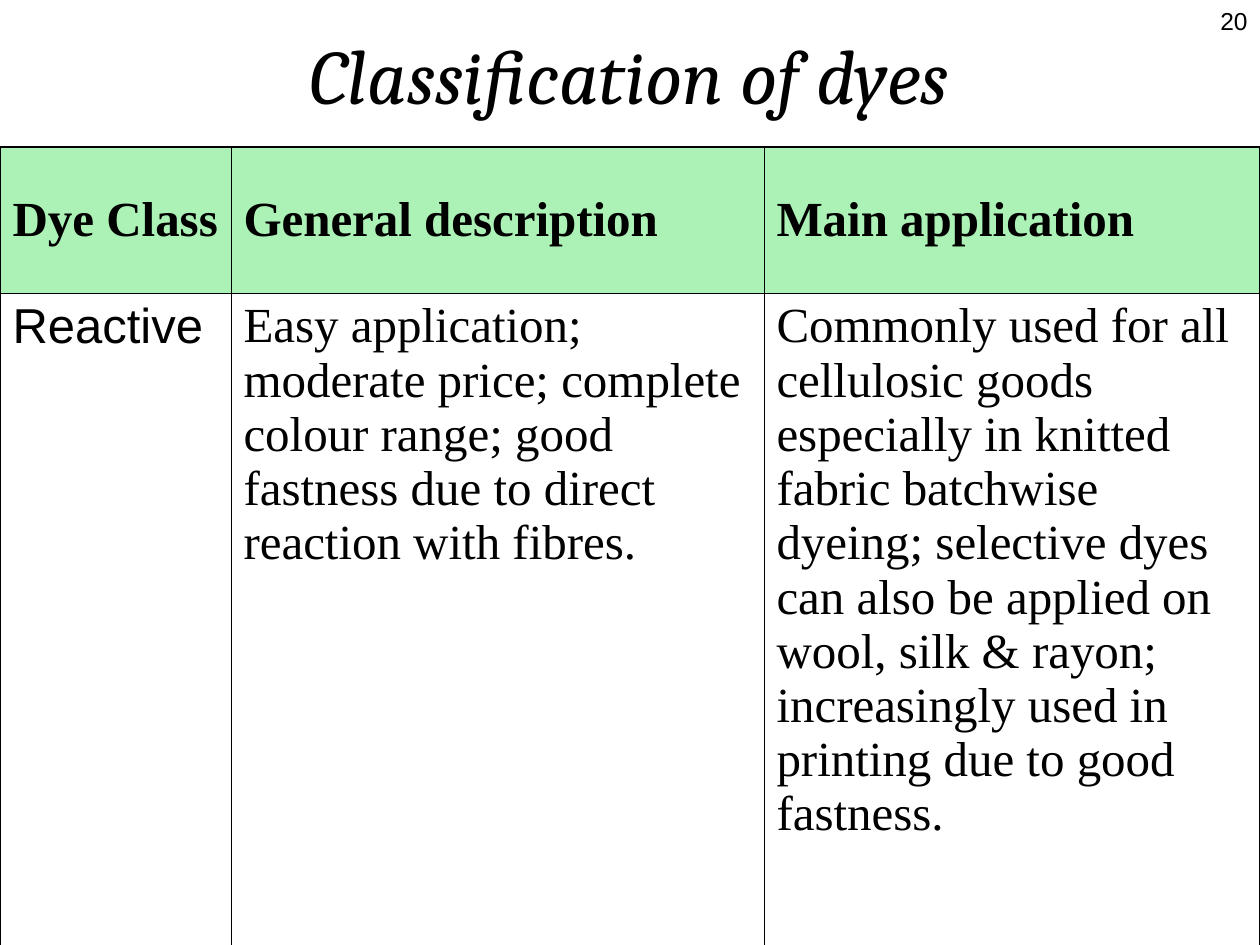
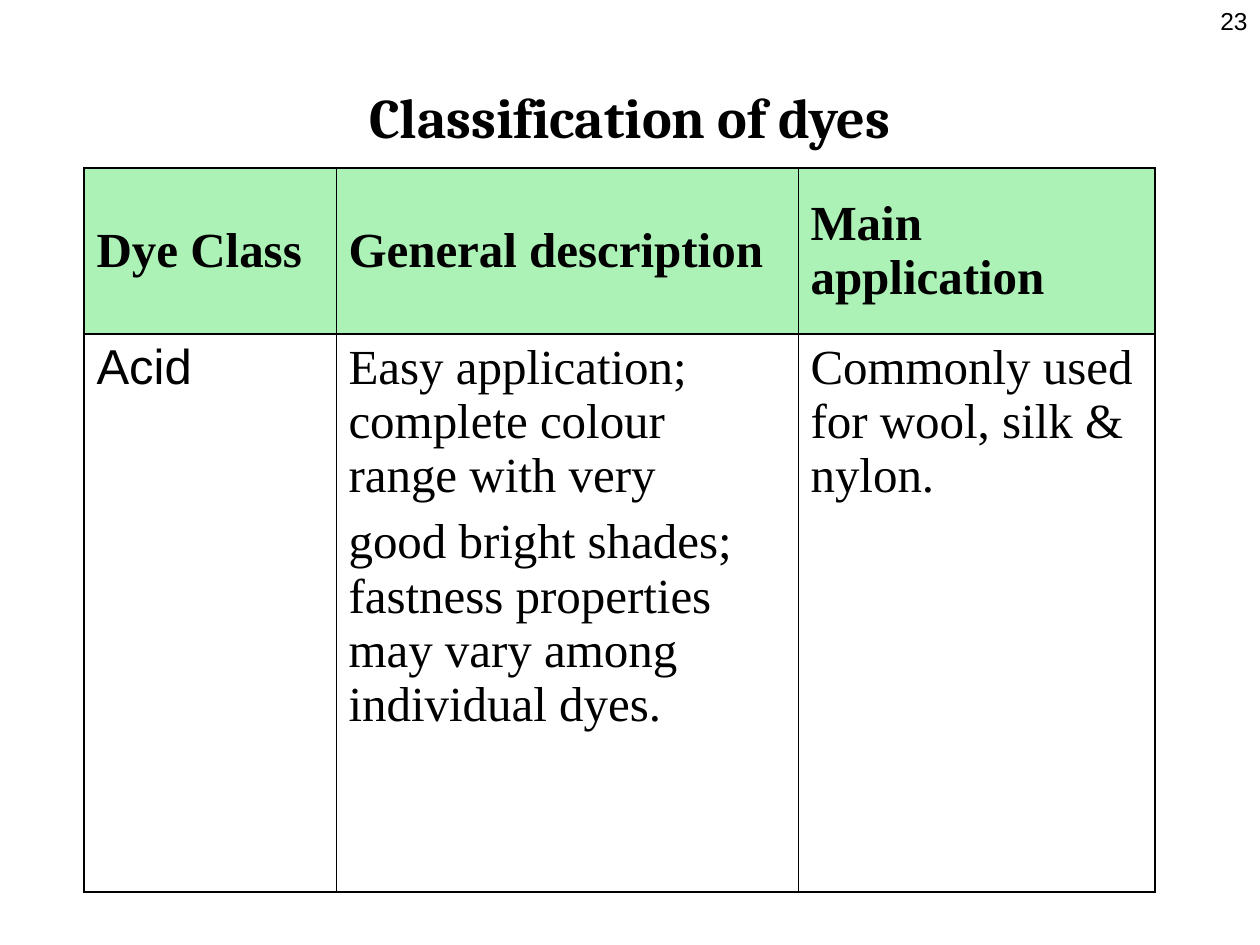
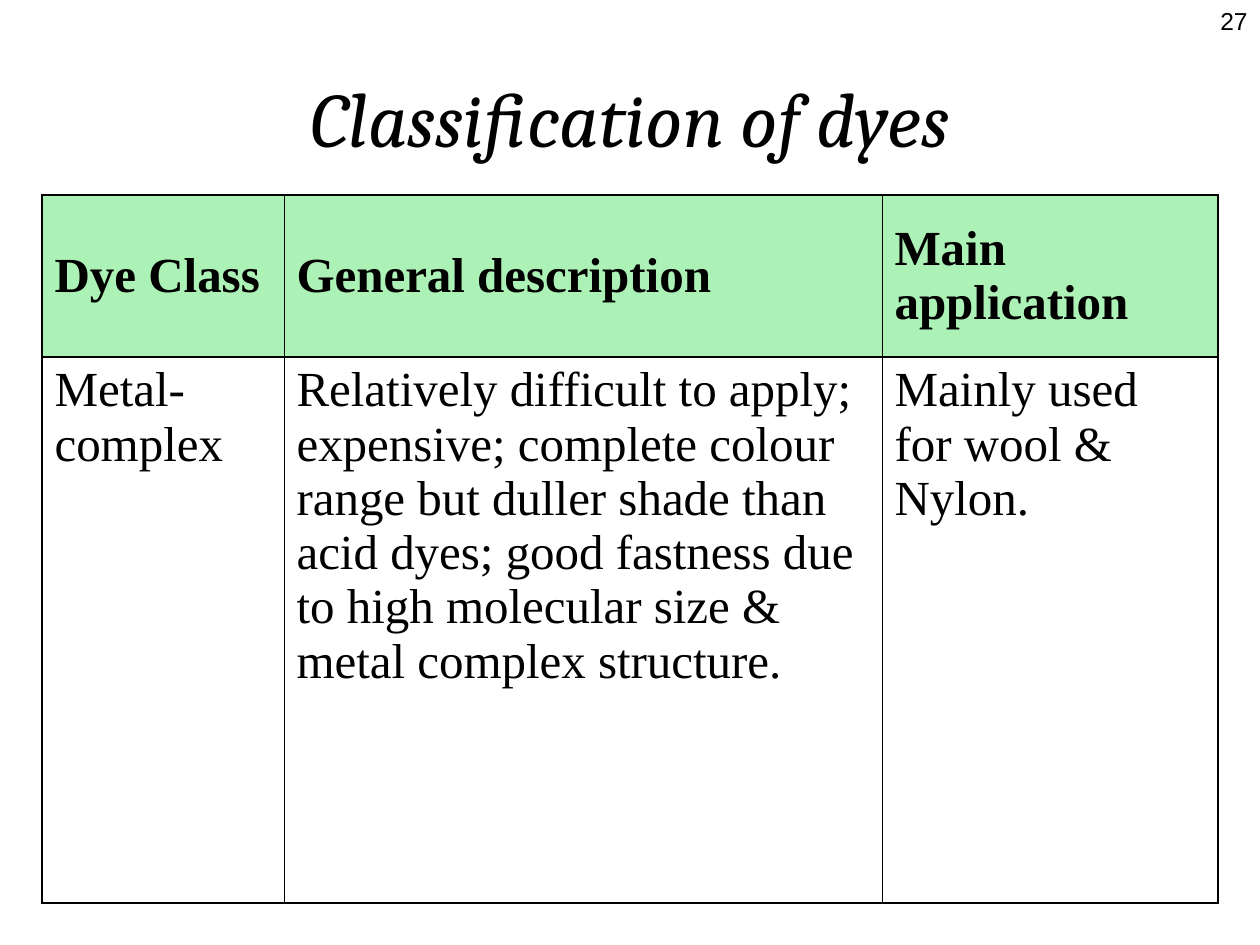
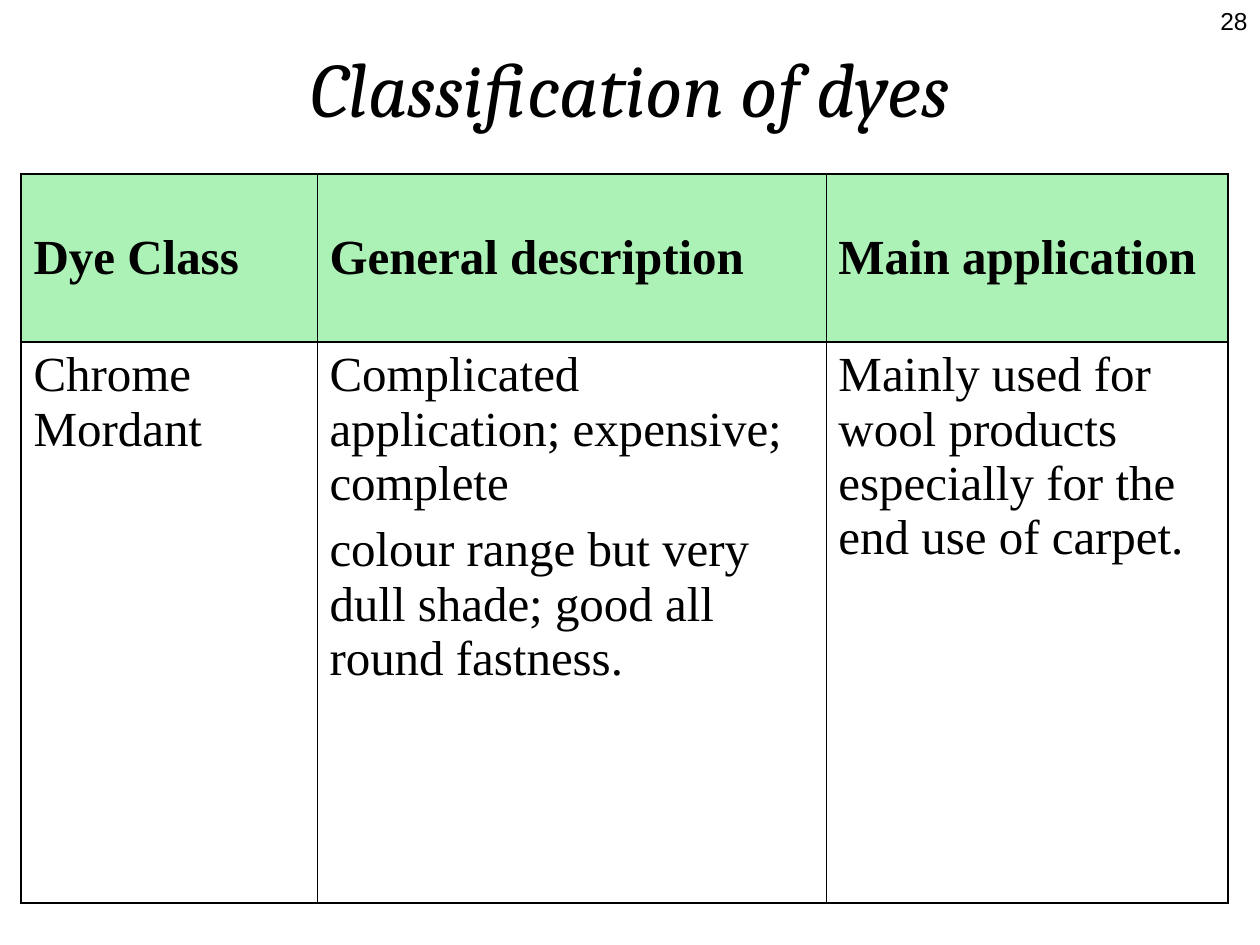
from dataclasses import dataclass

from lxml import etree
from pptx import Presentation
from pptx.dml.color import RGBColor
from pptx.enum.text import MSO_ANCHOR, MSO_AUTO_SIZE, PP_ALIGN
from pptx.oxml.ns import qn
from pptx.util import Emu, Pt

TITLE_ONLY = 5


@dataclass(frozen=True)
class Theme:
    ink: RGBColor = RGBColor(0x00, 0x00, 0x00)
    header_fill: RGBColor = RGBColor(0xAC, 0xF2, 0xB6)
    title_font: str = "Cambria"
    table_font: str = "Times New Roman"
    plain_font: str = "Arial"
    title_size: int = 44
    small_title_size: int = 32
    table_size: int = 28
    number_size: int = 14
    space_before: int = 7
    thick: float = 1.08
    thin: float = 0.45


THEME = Theme()
HEADINGS = ("Dye Class", "General description", "Main application")


@dataclass(frozen=True)
class DyeSlide:
    number: int
    title_box: tuple
    table_corner: tuple
    columns: tuple
    rows: tuple
    dye: str
    description: tuple
    application: str
    dye_font: str = THEME.table_font
    small_title: bool = False
    header_rule: float = THEME.thick


DYE_SLIDES = (
    DyeSlide(
        20, (94, 0, 1071, 147), (0, 147), (231, 533, 496), (146, 745),
        "Reactive",
        ("Easy application; moderate price; complete colour range; good "
         "fastness due to direct reaction with fibres.",),
        "Commonly used for all cellulosic goods especially in knitted fabric "
        "batchwise dyeing; selective dyes can also be applied on wool, silk & "
        "rayon; increasingly used in printing due to good fastness.",
        dye_font=THEME.plain_font, header_rule=THEME.thin),
    DyeSlide(
        23, (63, 38, 1134, 157), (84, 168), (252, 462, 357), (166, 558),
        "Acid",
        ("Easy application; complete colour range with very",
         "good bright shades; fastness properties may vary among individual "
         "dyes."),
        "Commonly used for wool, silk & nylon.",
        dye_font=THEME.plain_font, small_title=True),
    DyeSlide(
        27, (63, 38, 1134, 157), (42, 195), (242, 598, 336), (162, 546),
        "Metal-complex",
        ("Relatively difficult to apply; expensive; complete colour range but "
         "duller shade than acid dyes; good fastness due to high molecular "
         "size & metal complex structure.",),
        "Mainly used for wool & Nylon."),
    DyeSlide(
        28, (63, 38, 1134, 98), (21, 174), (296, 509, 402), (168, 561),
        "Chrome Mordant",
        ("Complicated application; expensive; complete",
         "colour range but very dull shade; good all round fastness."),
        "Mainly used for wool products especially for the end use of carpet."),
)


def px(length):
    return Emu(round(length * 914400 / 126))


def style_font(paragraph, name, size, bold=False, italic=False):
    font = paragraph.font
    font.name, font.size = name, Pt(size)
    font.bold, font.italic = bold, italic
    font.color.rgb = THEME.ink


def add_title(slide, box, small):
    title = slide.shapes.title
    title.left, title.top, title.width, title.height = map(px, box)
    frame = title.text_frame
    frame.text = "Classification of dyes"
    frame.auto_size = MSO_AUTO_SIZE.NONE
    frame.vertical_anchor = MSO_ANCHOR.MIDDLE
    heading = frame.paragraphs[0]
    heading.alignment = PP_ALIGN.CENTER
    size = THEME.small_title_size if small else THEME.title_size
    style_font(heading, THEME.title_font, size, bold=small, italic=not small)


def add_page_number(slide, number):
    frame = slide.shapes.add_textbox(*map(px, (966, 0, 294, 66))).text_frame
    frame.word_wrap = True
    frame.text = str(number)
    frame.paragraphs[0].alignment = PP_ALIGN.RIGHT
    style_font(frame.paragraphs[0], THEME.plain_font, THEME.number_size)


def set_borders(cell, left, right, top, bottom):
    """Draw the four cell edges with the given widths in points."""
    properties = cell._tc.get_or_add_tcPr()
    edges = {"L": left, "R": right, "T": top, "B": bottom}
    for side, width in edges.items():
        line = etree.SubElement(properties, qn(f"a:ln{side}"), w=str(Pt(width)))
        fill = etree.SubElement(line, qn("a:solidFill"))
        etree.SubElement(fill, qn("a:srgbClr"), val=str(THEME.ink))


def fill_cell(cell, paragraphs, font, is_header):
    cell.text = "\n".join(paragraphs)
    for paragraph in cell.text_frame.paragraphs:
        paragraph.space_before = Pt(THEME.space_before)
        style_font(paragraph, font, THEME.table_size, bold=is_header)
    if is_header:
        cell.vertical_anchor = MSO_ANCHOR.MIDDLE
        cell.fill.solid()
        cell.fill.fore_color.rgb = THEME.header_fill
    else:
        cell.vertical_anchor = MSO_ANCHOR.TOP
        cell.fill.background()


def add_dye_table(slide, content):
    size = sum(content.columns), sum(content.rows)
    table = slide.shapes.add_table(
        len(content.rows), len(content.columns),
        *map(px, content.table_corner + size)).table
    table.first_row = table.horz_banding = False
    for column, width in zip(table.columns, content.columns):
        column.width = px(width)
    for row, height in zip(table.rows, content.rows):
        row.height = px(height)

    body = ((content.dye,), content.description, (content.application,))
    header = tuple((heading,) for heading in HEADINGS)
    column_rules = (THEME.thick, THEME.thin, THEME.thin, THEME.thick)
    row_rules = (THEME.thick, content.header_rule, THEME.thick)
    for r, texts in enumerate((header, body)):
        for c, paragraphs in enumerate(texts):
            cell = table.cell(r, c)
            is_dye_name = (r, c) == (1, 0)
            font = content.dye_font if is_dye_name else THEME.table_font
            set_borders(cell, *column_rules[c:c + 2], *row_rules[r:r + 2])
            fill_cell(cell, paragraphs, font, is_header=r == 0)


def main():
    deck = Presentation()
    deck.slide_width, deck.slide_height = px(1260), px(945)
    for content in DYE_SLIDES:
        slide = deck.slides.add_slide(deck.slide_layouts[TITLE_ONLY])
        add_page_number(slide, content.number)
        add_title(slide, content.title_box, content.small_title)
        add_dye_table(slide, content)
    deck.save("out.pptx")


if __name__ == "__main__":
    main()
